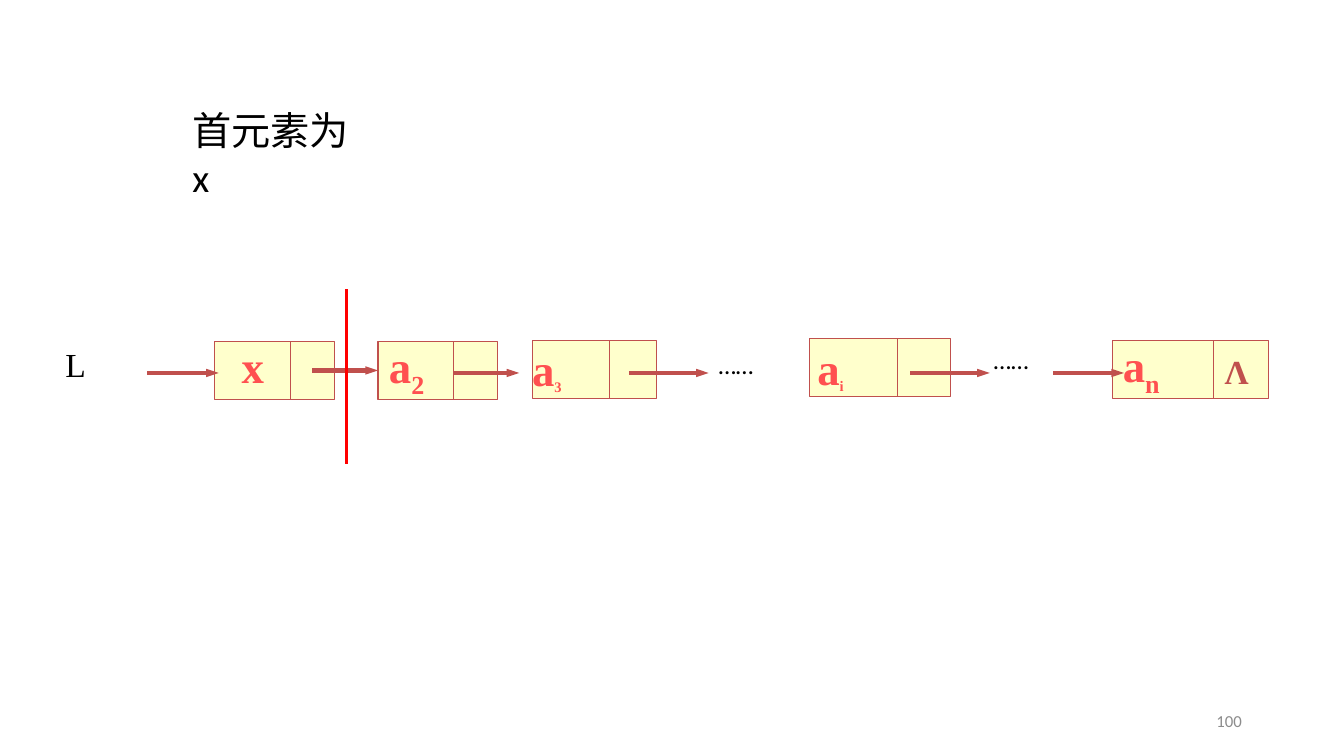
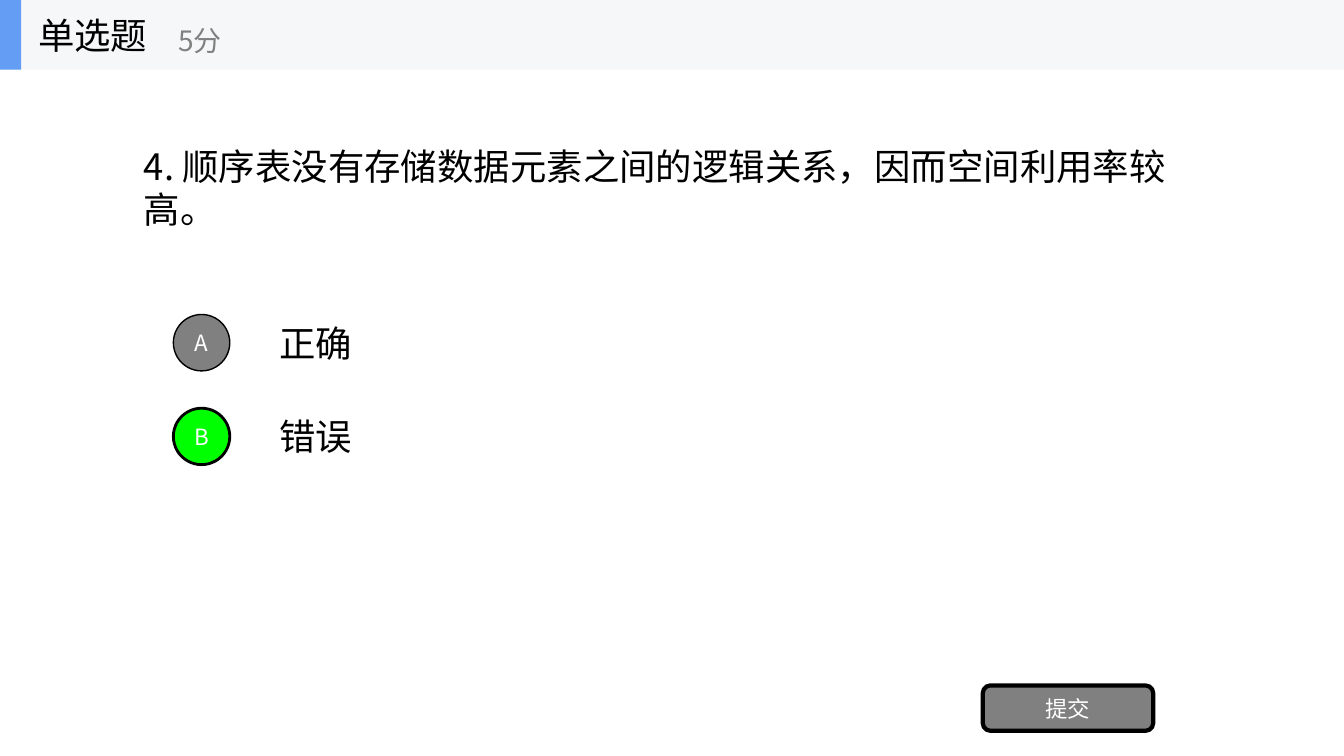
import lxml.etree
import pptx
import pptx.dml.color
import pptx.enum.shapes
import pptx.enum.text
import pptx.oxml.ns
import pptx.util

RGB = pptx.dml.color.RGBColor
KIND = pptx.enum.shapes.MSO_SHAPE
ALIGN = pptx.enum.text.PP_ALIGN
ANCHOR = pptx.enum.text.MSO_ANCHOR

BLACK = RGB(0x00, 0x00, 0x00)
WHITE = RGB(0xFF, 0xFF, 0xFF)
GRAY = RGB(0x80, 0x80, 0x80)
PALE = RGB(0x8C, 0x8C, 0x8C)
BRICK = RGB(0xC0, 0x50, 0x4D)
CORAL = RGB(0xFF, 0x50, 0x50)
RED = RGB(0xFF, 0x00, 0x00)
CREAM = RGB(0xFF, 0xFF, 0xCC)
GREEN = RGB(0x00, 0xFF, 0x00)
BLUE = RGB(0x63, 0x9E, 0xF4)
BAND = RGB(0xF6, 0xF7, 0xF8)

SANS = "Noto Sans CJK SC"
SERIF = "Times New Roman"
PLAIN = "Calibri"

COLS, ROWS = 133.33, 75


def grid(count):
    """Turn a count of grid cells, a tenth of an inch each, into a length."""
    return pptx.util.Inches(count / 10)


def add_tag(node, tag, **attrs):
    """Append a drawing element with the given attributes."""
    return lxml.etree.SubElement(node, pptx.oxml.ns.qn(tag), attrs)


def style(run, size, face, color, bold=False):
    """Set the font of one run, for Latin and for Chinese letters."""
    font = run.font
    font.size, font.name, font.bold = pptx.util.Pt(size), face, bold
    font.color.rgb = color
    if face == SANS:
        add_tag(run._r.get_or_add_rPr(), "a:ea", typeface=face)


def add_text(slide, box, text, size, face, color, bold=False,
             anchor=ANCHOR.TOP, align=ALIGN.LEFT):
    """Place one paragraph in a wrapping text box."""
    frame = slide.shapes.add_textbox(*map(grid, box)).text_frame
    frame.word_wrap, frame.vertical_anchor = True, anchor
    frame.text = text
    para = frame.paragraphs[0]
    para.alignment = align
    style(para.runs[0], size, face, color, bold)
    return para


def add_shape(slide, kind, box, fill, line=None, width=0, text=""):
    """Place a filled shape with an optional outline and centred text."""
    shape = slide.shapes.add_shape(kind, *map(grid, box))
    shape.shadow.inherit = False
    shape.fill.solid()
    shape.fill.fore_color.rgb = fill
    if line is None:
        shape.line.fill.background()
    else:
        shape.line.color.rgb = line
        shape.line.width = pptx.util.Pt(width)
    if text:
        frame = shape.text_frame
        frame.text = text
        frame.vertical_anchor = ANCHOR.MIDDLE
        frame.margin_left = frame.margin_right = 0
        frame.paragraphs[0].alignment = ALIGN.CENTER
        style(frame.paragraphs[0].runs[0], 16, SANS, WHITE)
    return shape


def add_line(slide, start, end, color, width, arrow=False):
    """Draw a straight line, with an arrowhead at its end if asked."""
    line = slide.shapes.add_connector(
        pptx.enum.shapes.MSO_CONNECTOR.STRAIGHT, *map(grid, start + end))
    line.line.color.rgb = color
    line.line.width = pptx.util.Pt(width)
    if arrow:
        add_tag(line.line._get_or_add_ln(), "a:tailEnd",
                type="triangle", w="sm", len="med")
    add_tag(line._element.spPr, "a:effectLst")
    return line


def add_node(slide, box, split, label, sub="", small=32, shift=(0, -0.8)):
    """Draw a list node: cell, divider and label with its subscript."""
    left, top, wide, high = box
    cell = add_shape(slide, KIND.RECTANGLE, box, CREAM, BRICK, 0.75)
    add_line(slide, (left + split, top), (left + split, top + high), BRICK, 0.75)
    spot = (left + shift[0], top + shift[1], 8, 6.4)
    para = add_text(slide, spot, label, 32, SERIF, CORAL, True)
    if sub:
        run = para.add_run()
        run.text = sub
        style(run, small, SERIF, CORAL, True)
        run._r.get_or_add_rPr().set("baseline", "-25000")
    return cell


def add_chain(slide, box):
    """Draw the linked list inside the given box."""
    left, top, wide, high = box
    mid = top + 8.3
    nodes = (
        (15.8, 5.2, 11.9, 7.5, "x", "", 32, (1.7, -0.8)),
        (32, 5.2, 11.9, 7.5, "a", "2", 32, (0.1, -0.8)),
        (47.3, 5.1, 12.3, 7.7, "a", "3", 18, (-1, -0.4)),
        (74.8, 4.9, 14, 8.7, "a", "i", 18, (-0.2, -0.3)),
        (104.9, 5.1, 15.4, 10, "a", "n", 32, (0, -0.8)),
    )
    cells = [add_node(slide, (left + x, top + y, wide, 5.7), *rest)
             for x, y, wide, *rest in nodes]
    for first, last in ((9.1, 16.2), (39.5, 46), (56.9, 64.8),
                        (84.8, 92.7), (99, 106)):
        add_line(slide, (left + first, mid), (left + last, mid), BRICK, 3, True)
    join = top + 5.2 + 5.7 / 2
    link = add_line(slide, (left + 25.5, join), (left + 32, join), BRICK, 3, True)
    link.end_connect(cells[1], 1)
    for x, y in ((64.8, 5.5), (92.1, 5)):
        add_text(slide, (left + x, top + y, 11.7, 4), "……", 18, PLAIN, BLACK)
    add_text(slide, (left, top + 4.9, 5, 5), "L", 24, SERIF, BLACK)
    add_text(slide, (left + 115, top + 5.6, 5, 5), "Λ", 24, SERIF, BRICK, True)
    add_line(slide, (left + 28.9, top), (left + 28.9, top + high), RED, 2.25)


def add_head(slide, box, title, score):
    """Draw the question band with its title and score."""
    left, top, wide, high = box
    add_shape(slide, KIND.RECTANGLE, box, BAND)
    add_shape(slide, KIND.RECTANGLE, (left, top, 2.1, high), BLUE)
    add_text(slide, (left + 2.8, top, 20.8, high), title, 26, SANS, BLACK,
             anchor=ANCHOR.MIDDLE)
    add_text(slide, (left + 16.7, top + 1.2, 25, 5.6), score, 20, SANS, GRAY,
             anchor=ANCHOR.MIDDLE)


def add_choice(slide, box, mark, text, fill, width):
    """Draw one answer: a round mark and its text."""
    left, top, wide, high = box
    size = 5.6
    add_shape(slide, KIND.OVAL, (left, top + (high - size) / 2, size, size),
              fill, BLACK, width, mark)
    add_text(slide, (left + 9.5, top, wide - 9.5, high), text, 26, SANS, BLACK,
             anchor=ANCHOR.MIDDLE)


def list_slide(slide):
    """Build the slide with the linked list."""
    add_text(slide, (18.1, 10.1, 18.5, 5.7), "首元素为x", 28, PLAIN, BLACK)
    add_chain(slide, (5.5, 28.7, 120.3, 17.3))
    add_text(slide, (94.2, 69.5, 30, 4), "100", 12, PLAIN, PALE,
             anchor=ANCHOR.MIDDLE, align=ALIGN.RIGHT)


def quiz_slide(slide):
    """Build the slide with the single choice question."""
    add_head(slide, (0, 0, COLS, 6.9), "单选题", "5分")
    add_text(slide, (13.3, 6.9, 106.7, 23.4),
             "4. 顺序表没有存储数据元素之间的逻辑关系，因而空间利用率较高。",
             26, SANS, BLACK, anchor=ANCHOR.MIDDLE)
    answers = (("A", "正确", GRAY, 1), ("B", "错误", GREEN, 2))
    for row, answer in enumerate(answers):
        add_choice(slide, (17.2, 30.5 + row * 9.3, 102.8, 7), *answer)
    add_shape(slide, KIND.ROUNDED_RECTANGLE, (97.5, 68, 16.9, 4.5),
              GRAY, BLACK, 3, "提交")


def main():
    """Build and save the presentation."""
    deck = pptx.Presentation()
    deck.slide_width, deck.slide_height = grid(COLS), grid(ROWS)
    for build in (list_slide, quiz_slide):
        build(deck.slides.add_slide(deck.slide_layouts[6]))
    deck.save("out.pptx")


if __name__ == "__main__":
    main()
